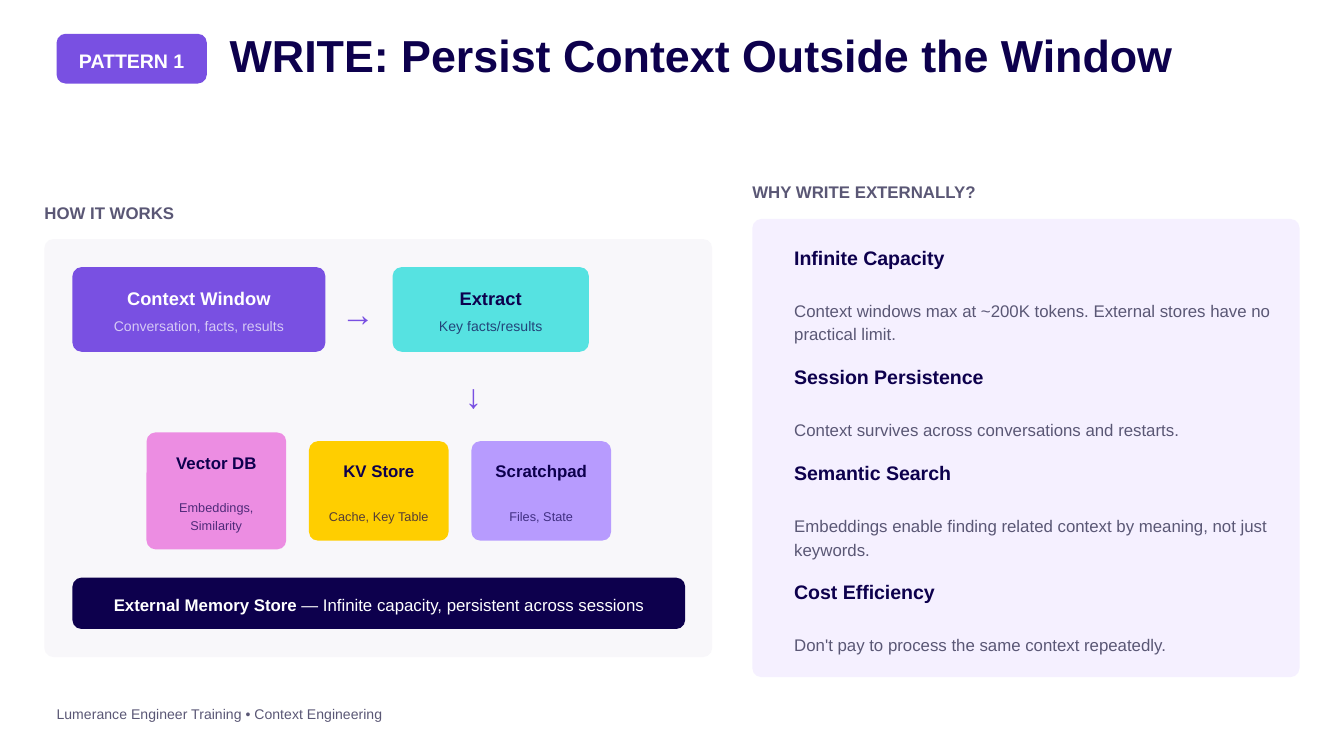
from lxml import etree
from pptx import Presentation
from pptx import util as u
from pptx.dml import color
from pptx.enum import shapes, text
from pptx.oxml import ns

COLORS = {
    "purple": "7950E2", "navy": "0D004D", "gray": "5A5775", "white": "FFFFFF",
    "cyan": "56E2E1", "pink": "EC8DE2", "yellow": "FFCE00", "lilac": "B79BFE",
    "panel": "F8F7FA", "pale": "F5F0FF",
}
LEFT, CENTER = text.PP_ALIGN.LEFT, text.PP_ALIGN.CENTER
TOP, MIDDLE = text.MSO_ANCHOR.TOP, text.MSO_ANCHOR.MIDDLE
RADIUS = 0.17

deck = Presentation()
deck.slide_width, deck.slide_height = u.Cm(25.4), u.Cm(14.29)
page = deck.slides.add_slide(deck.slide_layouts[1])


def write(box, lines, align=LEFT, anchor=TOP, margin=0):
    frame = box.text_frame
    frame.word_wrap = True
    frame.auto_size = text.MSO_AUTO_SIZE.NONE
    frame.vertical_anchor = anchor
    frame.margin_left = frame.margin_right = u.Cm(margin)
    frame.margin_top = frame.margin_bottom = 0
    frame.text = "\n".join(line[0] for line in lines)
    for para, (_, size, leading, name, bold, before, alpha) in zip(frame.paragraphs, lines):
        para.alignment = align
        para.line_spacing = u.Pt(leading)
        para.space_before = u.Pt(before)
        font = para.runs[0].font
        font.name, font.size, font.bold = "Arial", u.Pt(size), bold
        font.color.rgb = color.RGBColor.from_string(COLORS[name])
        if alpha < 100:
            tint = para.runs[0]._r.find(".//" + ns.qn("a:srgbClr"))
            etree.SubElement(tint, ns.qn("a:alpha"), val=str(alpha * 1000))


def draw_card(left, top, width, height, fill):
    card = page.shapes.add_shape(shapes.MSO_SHAPE.ROUNDED_RECTANGLE,
                                 u.Cm(left), u.Cm(top), u.Cm(width), u.Cm(height))
    card.adjustments[0] = RADIUS / min(width, height)
    card.shadow.inherit = False
    card.fill.solid()
    card.fill.fore_color.rgb = color.RGBColor.from_string(COLORS[fill])
    card.line.fill.background()
    return card


badge = draw_card(1.07, 0.64, 2.84, 0.94, "purple")
write(badge, [("PATTERN 1", 10.5, 14.7, "white", True, 0, 100)], CENTER, MIDDLE)

title = page.shapes.title
title.left, title.top, title.width, title.height = u.Cm(4.34), u.Cm(0.69), u.Cm(18.6), u.Cm(0.84)
write(title, [("WRITE: Persist Context Outside the Window", 24, 24, "navy", True, 0, 100)])

draw_card(0.84, 4.52, 12.62, 7.9, "panel")
draw_card(14.22, 4.14, 10.34, 8.66, "pale")

steps = [
    (1.37, 4.78, "purple", "white", "Context Window", "Conversation, facts, results"),
    (7.42, 3.71, "cyan", "navy", "Extract", "Key facts/results"),
]
for left, width, fill, ink, name, note in steps:
    step = draw_card(left, 5.05, width, 1.6, fill)
    write(step, [(name, 9.8, 13.7, ink, True, 0, 100),
                 (note, 7.5, 10.5, ink, False, 3, 70)], CENTER, MIDDLE, 0.38)

stores = [
    ("pink", 2.21, "Vector DB", "Embeddings, Similarity"),
    ("yellow", 1.88, "KV Store", "Cache, Key Table"),
    ("lilac", 1.88, "Scratchpad", "Files, State"),
]
for index, (fill, height, name, note) in enumerate(stores):
    store = draw_card(2.77 + 3.07 * index, 9.28 - height / 2, 2.64, height, fill)
    write(store, [(name, 9, 12.6, "navy", True, 0, 100),
                  (note, 6.8, 9.4, "navy", False, 13.5, 70)], CENTER, MIDDLE, 0.29)

memory = draw_card(1.37, 10.92, 11.58, 0.97, "navy")
write(memory, [("External Memory Store", 9, 12.6, "white", True, 0, 100)], CENTER, MIDDLE)
span = memory.text_frame.paragraphs[0].add_run()
span.text = " — Infinite capacity, persistent across sessions"
span.font.name, span.font.size, span.font.bold = "Arial", u.Pt(9), False
span.font.color.rgb = color.RGBColor.from_string(COLORS["white"])

labels = [
    (0.84, 3.76, 12.88, 0.43, "HOW IT WORKS", 9, "gray", True),
    (14.22, 3.38, 10.54, 0.43, "WHY WRITE EXTERNALLY?", 9, "gray", True),
    (6.45, 5.41, 0.76, 0.89, "→", 18, "purple", False),
    (8.79, 6.96, 4.24, 0.89, "↓", 18, "purple", False),
    (1.07, 13.28, 6.4, 0.38, "Lumerance Engineer Training • Context Engineering", 7.5, "gray", False),
]
for left, top, width, height, words, size, ink, bold in labels:
    label = page.shapes.add_textbox(u.Cm(left), u.Cm(top), u.Cm(width), u.Cm(height))
    write(label, [(words, size, size * 1.4, ink, bold, 0, 100)])

benefits = [
    ("Infinite Capacity",
     "Context windows max at ~200K tokens. External stores have no practical limit."),
    ("Session Persistence", "Context survives across conversations and restarts."),
    ("Semantic Search",
     "Embeddings enable finding related context by meaning, not just keywords."),
    ("Cost Efficiency", "Don't pay to process the same context repeatedly."),
]
lines = []
for heading, detail in benefits:
    lines.append((heading, 10.5, 14.7, "navy", True, 9 if lines else 0, 100))
    lines.append((detail, 9, 12.6, "gray", False, 15, 100))
body = page.placeholders[1]
body.left, body.top, body.width, body.height = u.Cm(15.01), u.Cm(4.57), u.Cm(9.3), u.Cm(7.9)
write(body, lines)
for para in body.text_frame.paragraphs:
    properties = para._p.get_or_add_pPr()
    properties.set("marL", "0")
    properties.set("indent", "0")
    etree.SubElement(properties, ns.qn("a:buNone"))
page.shapes._spTree.append(body.element)

deck.save("out.pptx")
